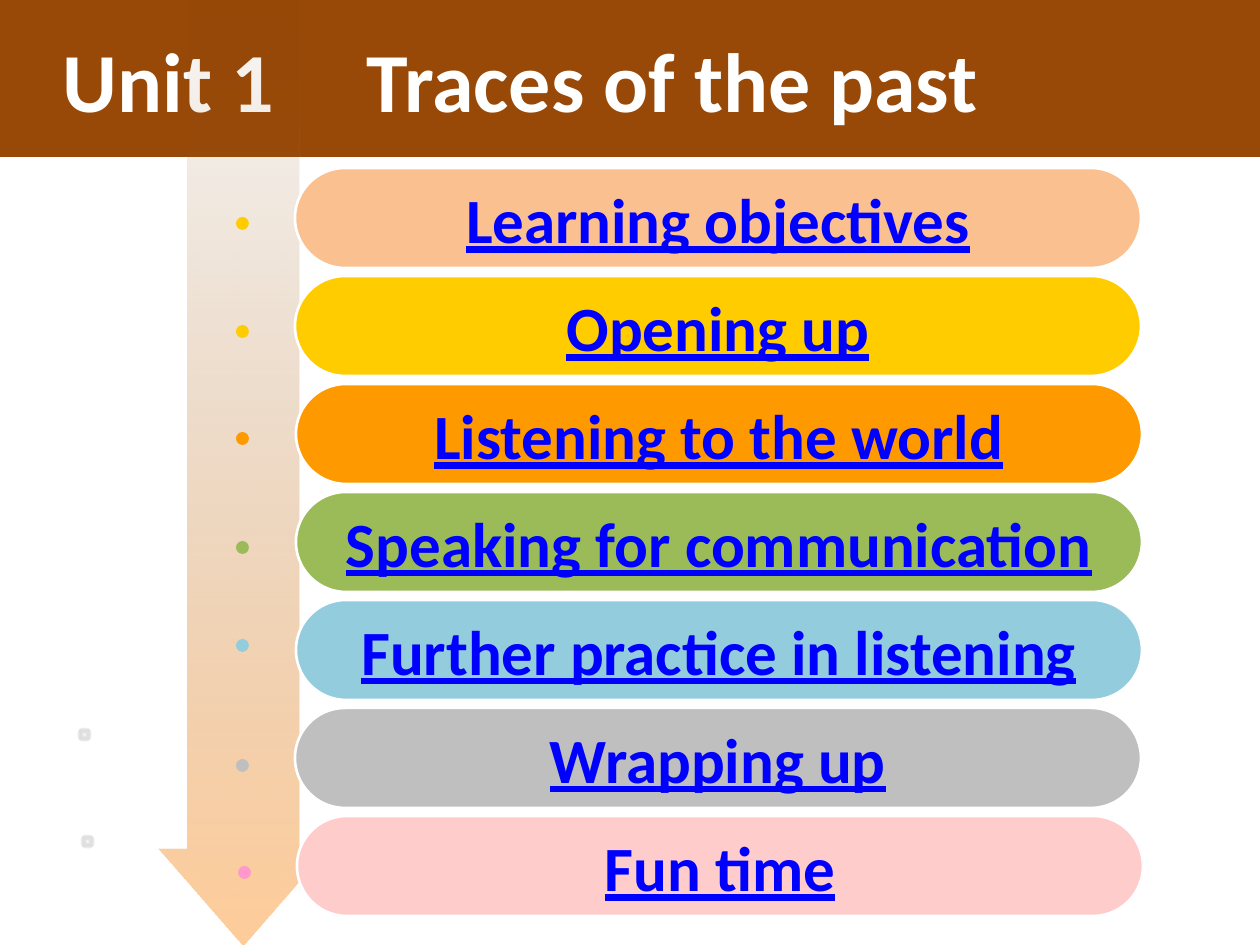
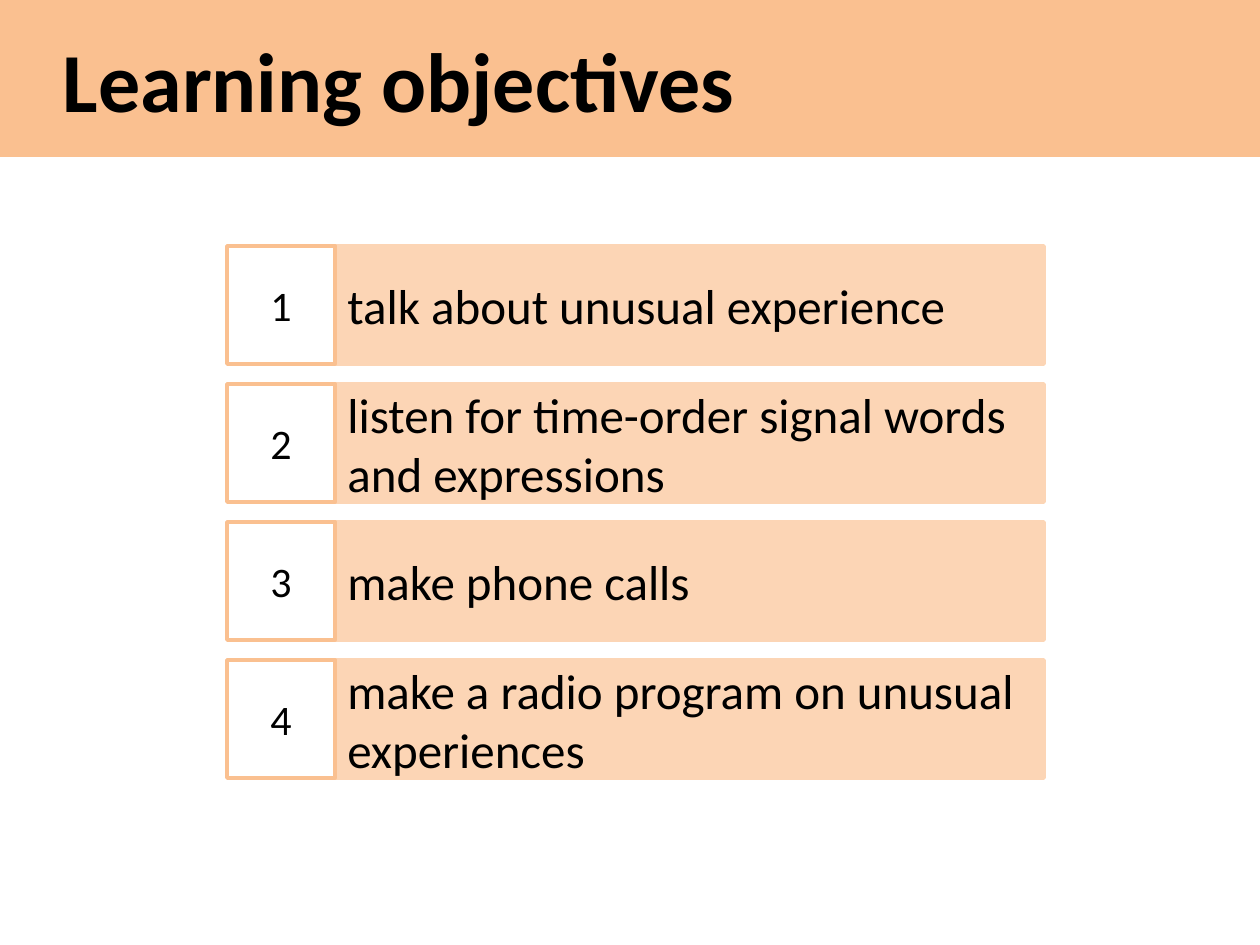
from lxml import etree
from pptx import Presentation
from pptx.dml.color import RGBColor
from pptx.enum.shapes import MSO_SHAPE
from pptx.enum.text import MSO_ANCHOR, PP_ALIGN
from pptx.oxml.ns import qn
from pptx.util import Emu, Pt

RECT, PILL = MSO_SHAPE.RECTANGLE, MSO_SHAPE.ROUNDED_RECTANGLE
DOT, ARROW = MSO_SHAPE.OVAL, MSO_SHAPE.UP_ARROW
LEFT, CENTER, MIDDLE = PP_ALIGN.LEFT, PP_ALIGN.CENTER, MSO_ANCHOR.MIDDLE

WHITE = RGBColor(0xFF, 0xFF, 0xFF)
BLACK = RGBColor(0x00, 0x00, 0x00)
BROWN = RGBColor(0x98, 0x48, 0x07)
DARK_BROWN = RGBColor(0x76, 0x47, 0x18)
PEACH = RGBColor(0xFA, 0xC0, 0x90)
LIGHT_PEACH = RGBColor(0xFC, 0xD5, 0xB5)
YELLOW = RGBColor(0xFF, 0xCC, 0x00)
ORANGE = RGBColor(0xFF, 0x99, 0x00)
ARROW_ORANGE = RGBColor(0xFF, 0x99, 0x33)
GREEN = RGBColor(0x9B, 0xBB, 0x59)
SKY = RGBColor(0x93, 0xCD, 0xDD)
GRAY = RGBColor(0xBF, 0xBF, 0xBF)
PALE_PINK = RGBColor(0xFF, 0xCC, 0xCC)
PINK = RGBColor(0xFF, 0x99, 0xCC)
LINK_BLUE = RGBColor(0x00, 0x00, 0xFF)

PX = 914400 / 126
PAGE_WIDTH, PAGE_HEIGHT = 1260, 945
DOT_SIZE = 13

TITLE = {"size": Pt(48), "bold": True}
LINK = {"size": Pt(36), "bold": True, "underline": True}
NUMBER = {"size": Pt(24)}
BODY = {"size": Pt(28)}

# Label, pill colour, pill left, dot colour, dot left, dot top
MENU = [
    ("Learning objectives", PEACH, 295, YELLOW, 236, 217),
    ("Opening up", YELLOW, 295, YELLOW, 236, 325),
    ("Listening to the world", ORANGE, 296, ORANGE, 236, 432),
    ("Speaking for communication", GREEN, 296, GREEN, 236, 541),
    ("Further practice in listening", SKY, 296, SKY, 236, 639),
    ("Wrapping up", GRAY, 295, GRAY, 236, 759),
    ("Fun time", PALE_PINK, 297, PINK, 238, 866),
]
FADED_DOTS = [(78, 728), (81, 835)]

OBJECTIVES = [
    "talk about unusual experience",
    "listen for time-order signal words and expressions",
    "make phone calls",
    "make a radio program on unusual experiences",
]


def px(length):
    return Emu(round(length * PX))


class Painter:
    """Holds the deck, its font and the current page."""

    font_name = "Calibri"

    def __init__(self):
        self.deck = Presentation()
        self.deck.slide_width = px(PAGE_WIDTH)
        self.deck.slide_height = px(PAGE_HEIGHT)
        self.page = None

    def new_page(self):
        self.page = self.deck.slides.add_slide(self.deck.slide_layouts[6])

    def shape(self, kind, left, top, width, height, fill=None, line=None, weight=2):
        box = self.page.shapes.add_shape(kind, px(left), px(top), px(width), px(height))
        box.shadow.inherit = False
        if fill is None:
            box.fill.background()
        else:
            box.fill.solid()
            box.fill.fore_color.rgb = fill
        if line is None:
            box.line.fill.background()
        else:
            box.line.color.rgb = line
            box.line.width = Pt(weight)
        return box

    def text(self, box, words, style, color, align=LEFT, wrap=True):
        frame = box.text_frame
        frame.word_wrap = wrap
        frame.vertical_anchor = MIDDLE
        para = frame.paragraphs[0]
        para.alignment = align
        span = para.add_run()
        span.text = words
        for name, value in {"name": self.font_name, **style}.items():
            setattr(span.font, name, value)
        span.font.color.rgb = color
        return para

    def title(self, words, fill, color, tab=None):
        band = self.shape(RECT, 0, 0, PAGE_WIDTH, 157, fill)
        band.text_frame.margin_left = px(63)
        para = self.text(band, words, TITLE, color)
        if tab:
            stops = etree.SubElement(para._p.get_or_add_pPr(), qn("a:tabLst"))
            etree.SubElement(stops, qn("a:tab"), pos=str(px(tab)), algn="l")

    def fade(self, box, start, end, radial=False):
        """Fill from a half clear start colour to a fully clear end colour."""
        gradient = etree.Element(qn("a:gradFill"), rotWithShape="1")
        stops = etree.SubElement(gradient, qn("a:gsLst"))
        for place, color, alpha in ((0, start, 50000), (100000, end, 0)):
            stop = etree.SubElement(stops, qn("a:gs"), pos=str(place))
            tint = etree.SubElement(stop, qn("a:srgbClr"), val=str(color))
            etree.SubElement(tint, qn("a:alpha"), val=str(alpha))
        if radial:
            route = etree.SubElement(gradient, qn("a:path"), {"path": "shape"})
            sides = dict.fromkeys("ltrb", "50000")
            etree.SubElement(route, qn("a:fillToRect"), sides)
        else:
            etree.SubElement(gradient, qn("a:lin"), ang="5400000", scaled="0")
        properties = box.element.spPr
        properties.replace(properties.find(qn("a:noFill")), gradient)

    def dot(self, left, top, fill=None):
        return self.shape(DOT, left, top, DOT_SIZE, DOT_SIZE, fill)

    def pill(self, words, left, top, fill):
        box = self.shape(PILL, left, top, 846, 100, fill, WHITE, 1.5)
        box.adjustments[0] = 0.5
        self.text(box, words, LINK, LINK_BLUE, CENTER, wrap=False)

    def objective(self, number, words, top):
        bar = self.shape(RECT, 335, top, 709, 118, LIGHT_PEACH, LIGHT_PEACH)
        self.text(bar, words, BODY, BLACK)
        cell = self.shape(RECT, 227, top, 108, 118, WHITE, PEACH)
        self.text(cell, str(number), NUMBER, BLACK, CENTER)


def build_menu(painter):
    painter.new_page()
    painter.title("Unit 1\tTraces of the past", BROWN, WHITE, tab=304)

    # Fading arrow behind the menu
    arrow = painter.shape(ARROW, 159, -98, 168, 1043)
    arrow.rotation = 180
    arrow.adjustments[0], arrow.adjustments[1] = 0.66, 0.58
    painter.fade(arrow, ARROW_ORANGE, DARK_BROWN)

    # Menu entries with their dots
    for row, (label, fill, left, dot_fill, dot_left, dot_top) in enumerate(MENU):
        painter.dot(dot_left, dot_top, dot_fill)
        painter.pill(label, left, 168 + 108 * row, fill)
    for left, top in FADED_DOTS:
        painter.fade(painter.dot(left, top), WHITE, BLACK, radial=True)


def build_objectives(painter):
    painter.new_page()
    painter.title("Learning objectives", PEACH, BLACK)
    for row, words in enumerate(OBJECTIVES):
        painter.objective(row + 1, words, 246 + 138 * row)


def main():
    painter = Painter()
    build_menu(painter)
    build_objectives(painter)
    painter.deck.save("out.pptx")


if __name__ == "__main__":
    main()
